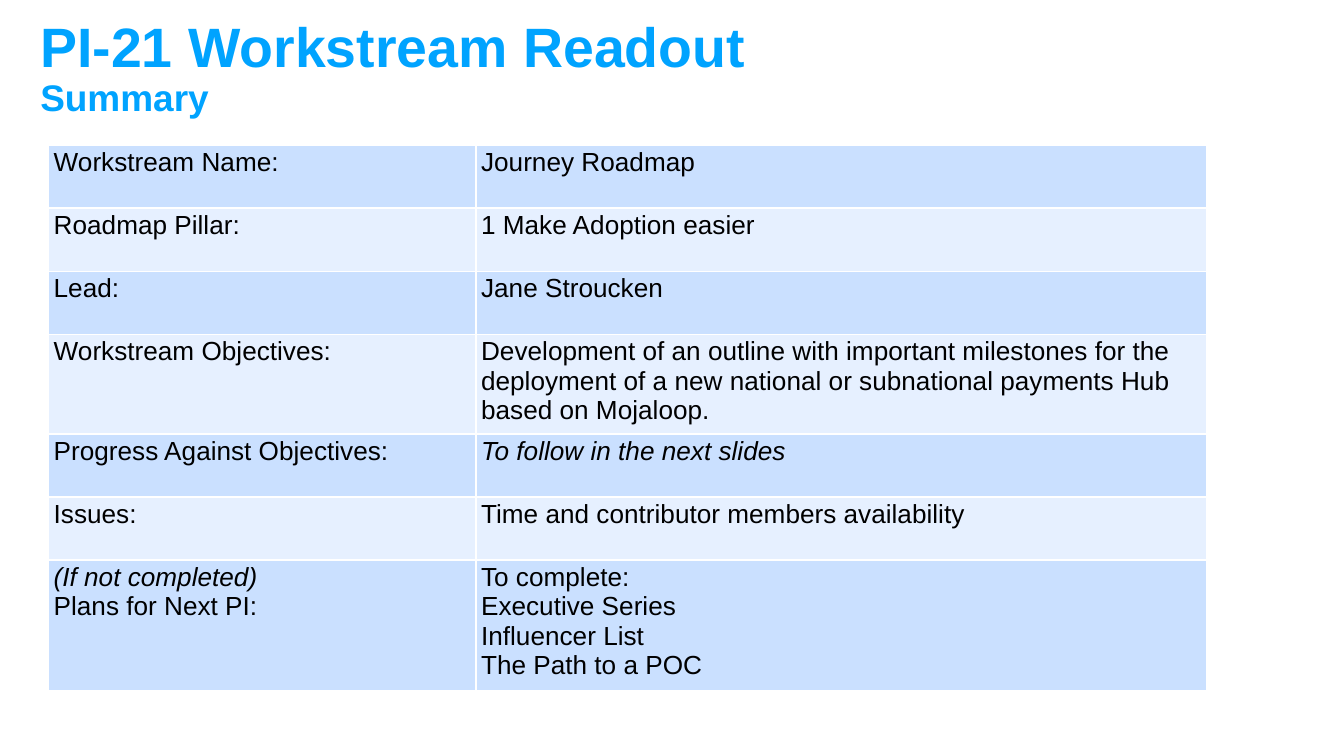
from dataclasses import dataclass

from lxml.etree import SubElement
from pptx import Presentation
from pptx.dml.color import RGBColor
from pptx.enum.text import MSO_ANCHOR
from pptx.oxml.ns import qn
from pptx.util import Inches, Pt


@dataclass(frozen=True)
class Theme:
    font: str = "Arial"
    title: str = "00A3FF"
    text: str = "000000"
    border: str = "FFFFFF"
    bands: tuple[str, str] = ("CAE0FF", "E6F0FF")
    title_size: float = 29.7
    subtitle_size: float = 19.8
    body_size: float = 14
    border_width: float = 1


@dataclass(frozen=True)
class Line:
    text: str
    italic: bool = False


@dataclass(frozen=True)
class Row:
    label: tuple[Line, ...]
    content: tuple[Line, ...]


THEME = Theme()
MARGIN_X, MARGIN_Y = Inches(0.04), Inches(0.02)
COLUMN_WIDTHS = (3.18, 5.44)
ROW_HEIGHT = 0.47

ROWS = (
    Row((Line("Workstream Name:"),), (Line("Journey Roadmap"),)),
    Row((Line("Roadmap Pillar:"),), (Line("1 Make Adoption easier"),)),
    Row((Line("Lead:"),), (Line("Jane Stroucken"),)),
    Row((Line("Workstream Objectives:"),),
        (Line("Development of an outline with important milestones for the "
              "deployment of a new national or subnational payments Hub "
              "based on Mojaloop."),)),
    Row((Line("Progress Against Objectives:"),),
        (Line("To follow in the next slides", italic=True),)),
    Row((Line("Issues:"),), (Line("Time and contributor members availability"),)),
    Row((Line("(If not completed)", italic=True), Line("Plans for Next PI:")),
        (Line("To complete:"), Line("Executive Series"),
         Line("Influencer List"), Line("The Path to a POC"))),
)


def add_span(para, text: str, size: float, color: str,
             bold: bool = False, italic: bool = False) -> None:
    span = para.add_run()
    span.text = text
    font = span.font
    font.name, font.size = THEME.font, Pt(size)
    font.bold, font.italic = bold, italic
    font.color.rgb = RGBColor.from_string(color)


def set_margins(target) -> None:
    target.margin_left = target.margin_right = MARGIN_X
    target.margin_top = target.margin_bottom = MARGIN_Y


def set_borders(cell) -> None:
    properties = cell._tc.get_or_add_tcPr()
    for position, side in enumerate(("a:lnL", "a:lnR", "a:lnT", "a:lnB")):
        line = properties.makeelement(qn(side), {"w": str(Pt(THEME.border_width))})
        properties.insert(position, line)  # borders come before the fill
        fill = SubElement(line, qn("a:solidFill"))
        SubElement(fill, qn("a:srgbClr"), val=THEME.border)


def fill_cell(cell, lines: tuple[Line, ...], color: str) -> None:
    set_margins(cell)
    cell.vertical_anchor = MSO_ANCHOR.TOP
    cell.fill.solid()
    cell.fill.fore_color.rgb = RGBColor.from_string(color)
    set_borders(cell)
    frame = cell.text_frame
    for index, line in enumerate(lines):
        para = frame.add_paragraph() if index else frame.paragraphs[0]
        add_span(para, line.text, THEME.body_size, THEME.text, italic=line.italic)
        # The paragraph mark must not make the row taller than its text
        SubElement(para._p, qn("a:endParaRPr"), sz=str(THEME.body_size * 100))


def add_title(page) -> None:
    box = page.shapes.add_textbox(Inches(0.26), Inches(0.11), Inches(7.93), Inches(0.81))
    frame = box.text_frame
    frame.word_wrap = True
    frame.vertical_anchor = MSO_ANCHOR.MIDDLE
    set_margins(frame)
    para = frame.paragraphs[0]
    para.line_spacing = 0.9
    add_span(para, "PI-21 Workstream Readout", THEME.title_size, THEME.title, bold=True)
    para.add_line_break()
    add_span(para, "Summary", THEME.subtitle_size, THEME.title, bold=True)


def add_summary_table(page) -> None:
    table = page.shapes.add_table(
        len(ROWS), len(COLUMN_WIDTHS), Inches(0.36), Inches(1.08),
        Inches(sum(COLUMN_WIDTHS)), Inches(ROW_HEIGHT * len(ROWS))).table
    table.first_row = False
    for column, width in zip(table.columns, COLUMN_WIDTHS):
        column.width = Inches(width)
    for index, row in enumerate(ROWS):
        table.rows[index].height = Inches(ROW_HEIGHT)
        band = THEME.bands[index % 2]
        fill_cell(table.cell(index, 0), row.label, band)
        fill_cell(table.cell(index, 1), row.content, band)


def main() -> None:
    deck = Presentation()
    # Widescreen, 16:9
    deck.slide_width = Inches(10)
    deck.slide_height = Inches(10 * 9 / 16)
    page = deck.slides.add_slide(deck.slide_layouts[6])
    # Heading
    add_title(page)
    # Workstream summary
    add_summary_table(page)
    deck.save("out.pptx")


if __name__ == "__main__":
    main()
